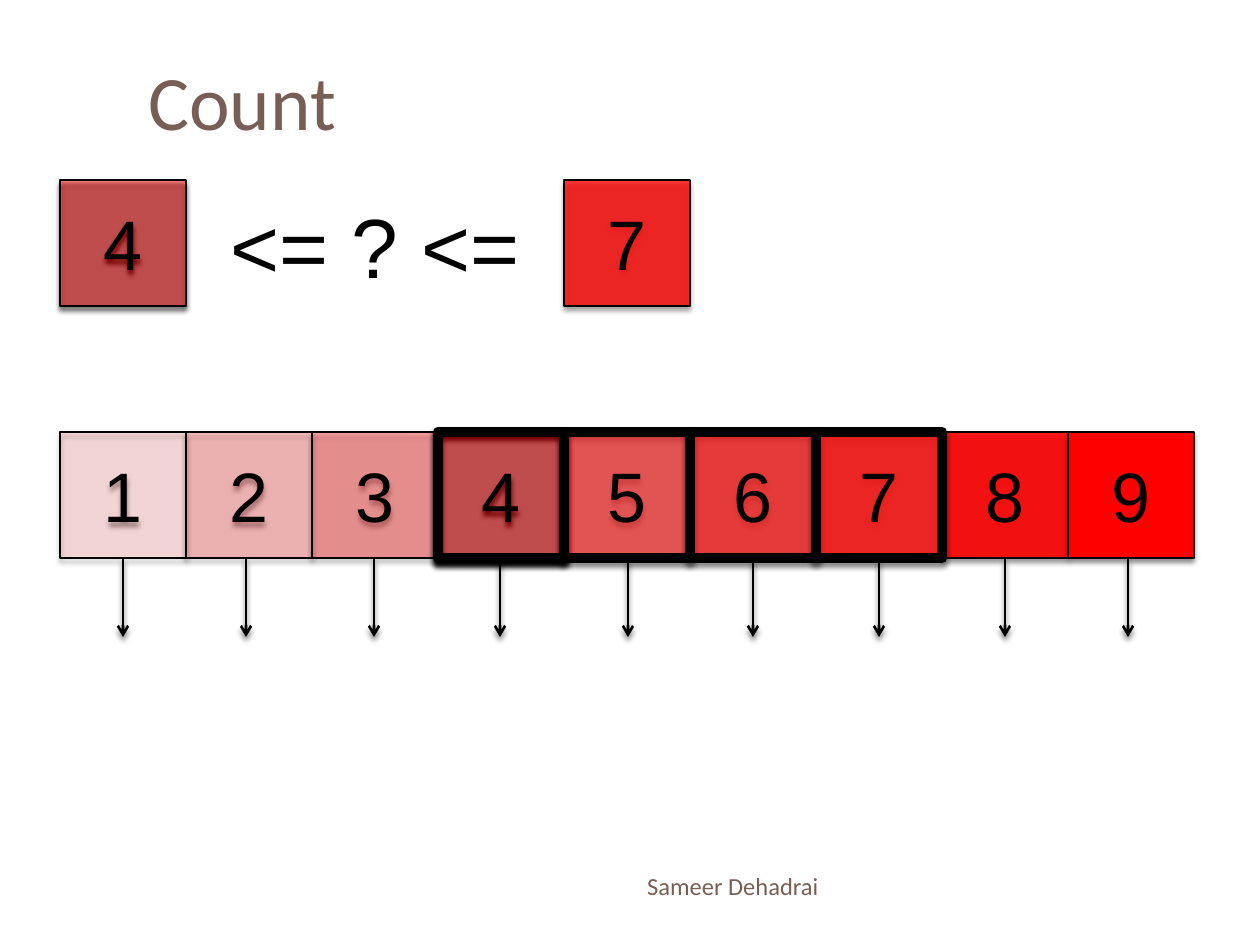
from pptx import Presentation, util as u
from pptx.dml.color import RGBColor
from pptx.enum import shapes, text
from pptx.oxml import parse_xml
from pptx.oxml.ns import nsdecls, qn

BLACK = RGBColor(0, 0, 0)
RED = RGBColor(255, 0, 0)
BROWN = RGBColor(0x77, 0x5F, 0x55)
PX = u.Inches(1) / 126
SIDE, LEFT, TOP, ROW = 126, 60, 180, 432
THIN, THICK = 0.79, 6

# Content: the range is outlined in the row; 8 lies behind its neighbours
LOW, HIGH = 4, 7
ORDER = [8, 1, 2, 3, 4, 5, 6, 7, 9]
ARROWS = [123, 246, 374, 500, 628, 753, 879, 1005, 1128]
MID, LEAD = text.MSO_ANCHOR.MIDDLE, text.MSO_ANCHOR.TOP
AL = text.PP_ALIGN
LABELS = [
    ("Count", (136, 32, 1124, 136), MID, True, AL.LEFT,
     dict(size=u.Pt(44), name="Calibri"), BROWN),
    ("<= ? <=", (218, 188, 318, 115), LEAD, False, AL.LEFT,
     dict(size=u.Pt(48), name="Arial"), BLACK),
    ("Sameer Dehadrai", (84, 861, 747, 50), MID, True, AL.RIGHT,
     dict(size=u.Pt(14), name="Calibri"), BROWN),
]


def emu(*vals):
    return [round(v * PX) for v in vals]


def write(frame, words, align, look, hue):
    para = frame.paragraphs[0]
    para.alignment = align
    run = para.add_run()
    run.text = words
    for key, val in look.items():
        setattr(run.font, key, val)
    run.font.color.rgb = hue


def shade(props):
    props.append(parse_xml(
        f'<a:effectLst {nsdecls("a")}>'
        '<a:outerShdw blurRad="38100" dist="30000" dir="5400000" rotWithShape="0">'
        '<a:srgbClr val="000000"><a:alpha val="45000"/></a:srgbClr>'
        '</a:outerShdw></a:effectLst>'))


def cell(num, x, y, width):
    box = slide.shapes.add_shape(shapes.MSO_SHAPE.RECTANGLE,
                                 *emu(x, y, SIDE, SIDE))
    box.fill.solid()
    box.fill.fore_color.rgb = RED
    box.line.color.rgb = BLACK
    box.line.width = u.Pt(width)
    props = box._element.spPr
    # Each number is 11 % more opaque than the one before
    if num < 9:
        tint = props.find(qn("a:solidFill"))[0]
        tint.append(parse_xml(
            f'<a:alpha {nsdecls("a")} val="{(1 + 11 * num) * 1000}"/>'))
    shade(props)
    box.text_frame.vertical_anchor = MID
    write(box.text_frame, str(num), AL.CENTER,
          dict(size=u.Pt(40), name="Arial"), BLACK)


prs = Presentation()
prs.slide_width, prs.slide_height = emu(1260, 945)
slide = prs.slides.add_slide(prs.slide_layouts[6])

# Row of numbers
for num in ORDER:
    cell(num, LEFT + (num - 1) * SIDE, ROW,
         THICK if LOW <= num <= HIGH else THIN)

# Bounds of the range
for num, x in ((LOW, LEFT), (HIGH, LEFT + 4 * SIDE)):
    cell(num, x, TOP, THIN)

# Arrows below the row
for x in ARROWS:
    arrow = slide.shapes.add_connector(shapes.MSO_CONNECTOR.STRAIGHT,
                                       *emu(x, ROW + SIDE + 1, x, 637))
    arrow.line.color.rgb = BLACK
    arrow.line.width = u.Pt(1.5)
    arrow.line._get_or_add_ln().append(
        parse_xml(f'<a:tailEnd {nsdecls("a")} type="arrow"/>'))
    shade(arrow._element.spPr)

# Title, condition and footer
for words, place, anchor, wrap, align, look, hue in LABELS:
    frame = slide.shapes.add_textbox(*emu(*place)).text_frame
    frame.word_wrap = wrap
    frame.vertical_anchor = anchor
    write(frame, words, align, look, hue)

prs.save("out.pptx")
